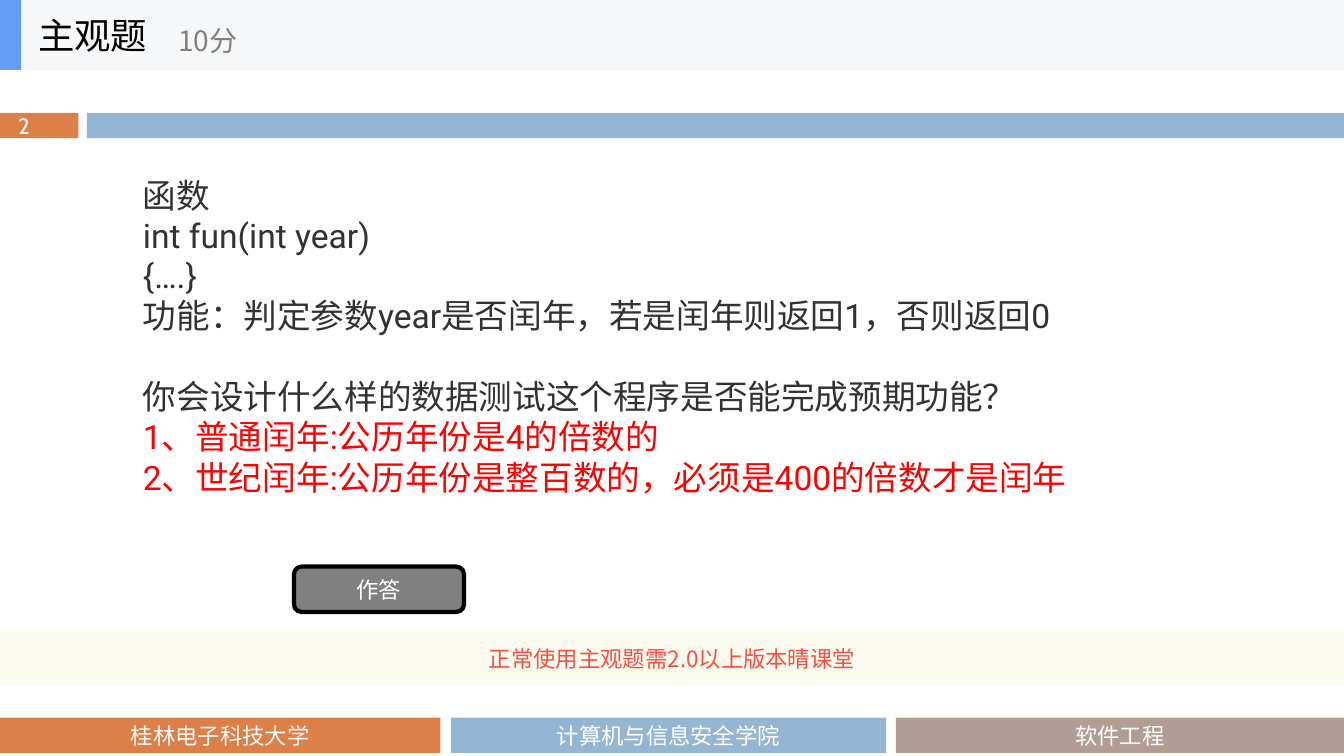
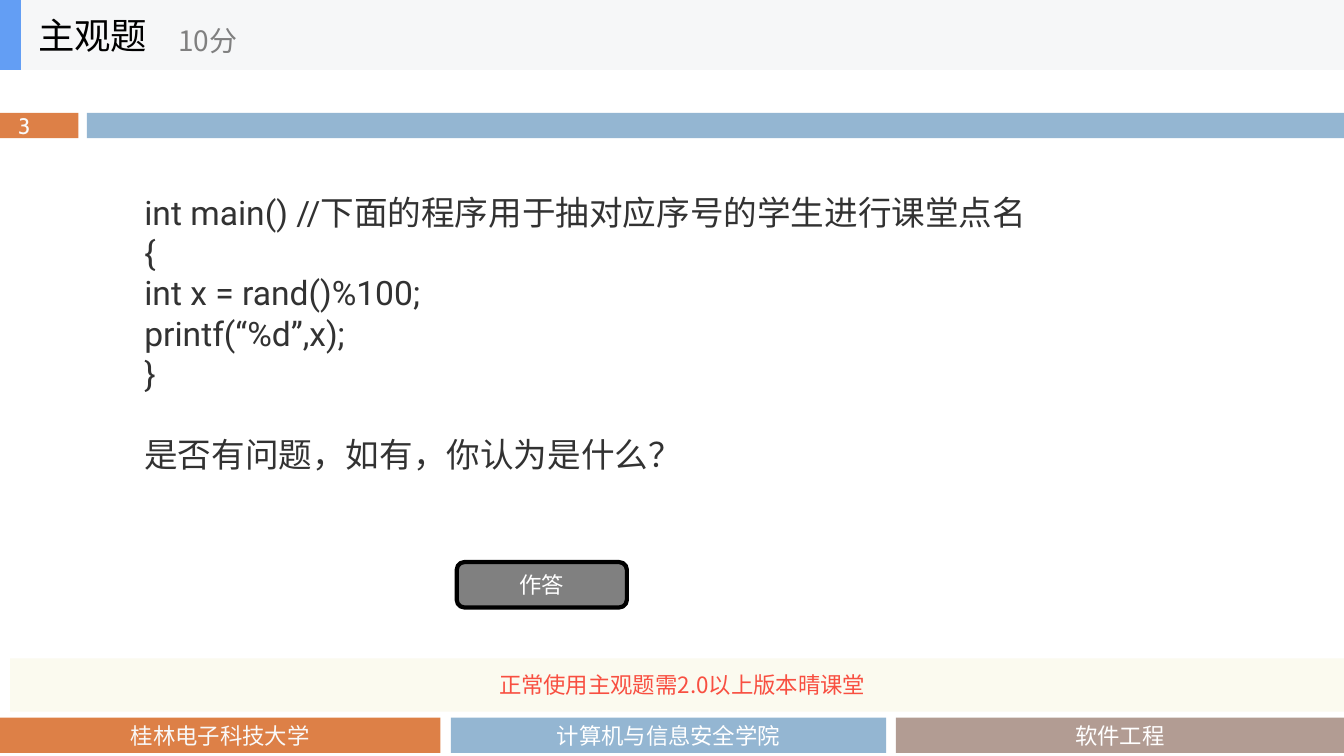
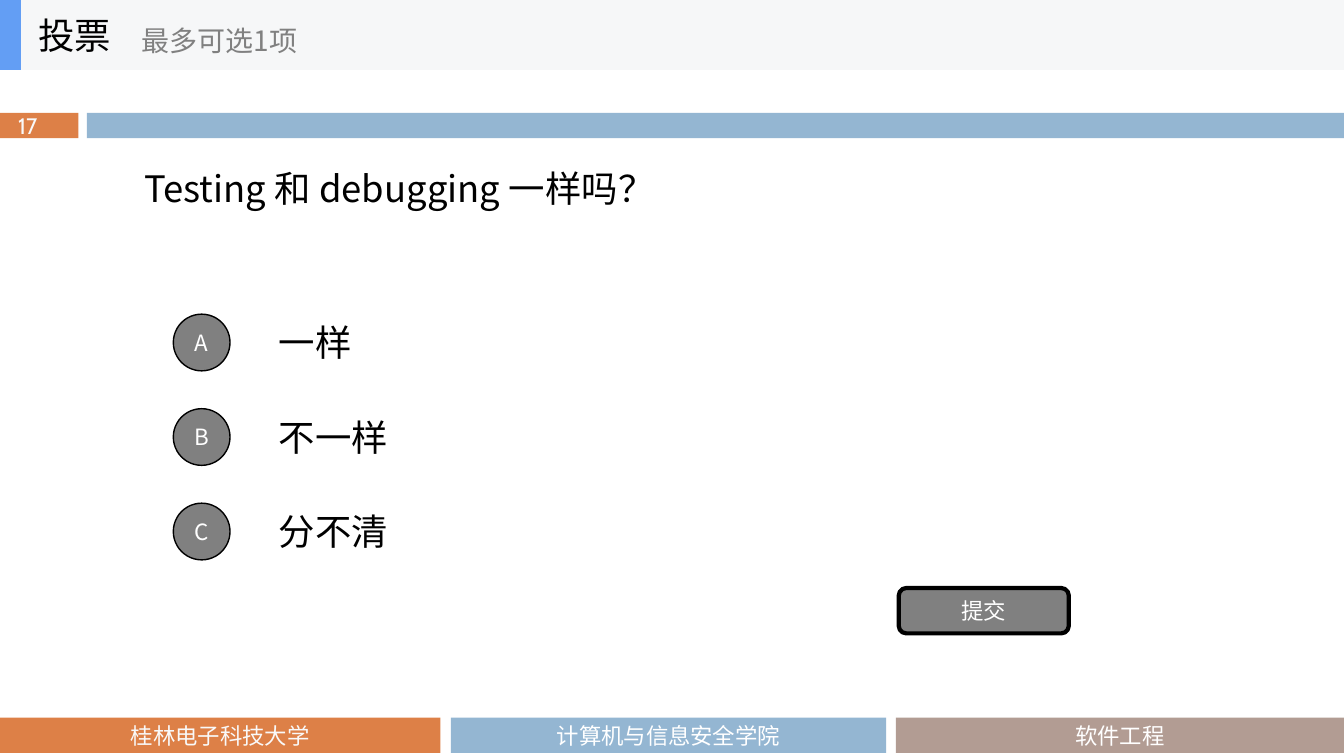
from dataclasses import dataclass

from lxml import etree
from pptx import Presentation
from pptx.dml.color import RGBColor
from pptx.enum import shapes, text
from pptx.oxml import ns
from pptx.util import Pt


@dataclass(frozen=True)
class Theme:
    orange: str = "DD8047"
    blue: str = "94B6D2"
    mauve: str = "B29C93"
    pale: str = "F6F7F8"
    accent: str = "639EF4"
    cream: str = "FBFAEF"
    coral: str = "F84F41"
    grey: str = "808080"
    ink: str = "323232"
    red: str = "FF0000"
    black: str = "000000"
    white: str = "FFFFFF"
    frost: str = "F9F9F9"
    sans: str = "Noto Sans CJK SC"
    code: str = "Roboto"
    band: str = "Cabin"
    head: int = 26
    body: int = 24
    sub: int = 20
    small: int = 16
    pitch: float = 28.8


LEFT, MID, JUST = text.PP_ALIGN.LEFT, text.PP_ALIGN.CENTER, text.PP_ALIGN.JUSTIFY
RECT, ROUND, OVAL = (shapes.MSO_SHAPE.RECTANGLE, shapes.MSO_SHAPE.ROUNDED_RECTANGLE,
                     shapes.MSO_SHAPE.OVAL)


class Deck:
    """Draws quiz slides in one shared style."""

    def __init__(self, theme):
        self.t = theme
        self.prs = Presentation()
        self.prs.slide_width, self.prs.slide_height = Pt(960), Pt(540)

    def style(self, para, size, color, font, align=LEFT):
        para.alignment = align
        face = para.font
        face.size, face.name = Pt(size), font
        face.color.rgb = RGBColor.from_string(color)
        latin = para._p.pPr.find(ns.qn("a:defRPr")).find(ns.qn("a:latin"))
        east = etree.Element(ns.qn("a:ea"), typeface=self.t.sans)
        latin.addnext(east)

    def frame(self, shape, side=7.2):
        box = shape.text_frame
        box.word_wrap = True
        box.auto_size = text.MSO_AUTO_SIZE.NONE
        box.vertical_anchor = text.MSO_ANCHOR.MIDDLE
        box.margin_left = box.margin_right = Pt(side)
        box.margin_top = box.margin_bottom = 0
        return box

    def block(self, at, fill, kind=RECT, line=0):
        shape = self.slide.shapes.add_shape(kind, *map(Pt, at))
        shape.shadow.inherit = False
        shape.fill.solid()
        shape.fill.fore_color.rgb = RGBColor.from_string(fill)
        if line:
            shape.line.color.rgb = RGBColor.from_string(self.t.black)
            shape.line.width = Pt(line)
        else:
            shape.line.fill.background()
        return shape

    def label(self, shape, words, color, font=None, align=MID, side=0):
        para = self.frame(shape, side).paragraphs[0]
        para.text = words
        self.style(para, self.t.small, color, font or self.t.sans, align)

    def words(self, at, line, size, color):
        box = self.frame(self.slide.shapes.add_textbox(*map(Pt, at)))
        box.text = line
        self.style(box.paragraphs[0], size, color, self.t.sans)

    def page(self, num, title, hint, left):
        t = self.t
        self.slide = self.prs.slides.add_slide(self.prs.slide_layouts[5])
        tab = self.block((0, 80.7, 56, 18), t.orange)
        self.label(tab, str(num), t.frost, t.band, LEFT, 13)
        self.block((62, 80.7, 898, 18), t.blue)
        for x, wide, fill, color, name in (
                (0, 314.5, t.orange, t.frost, "桂林电子科技大学"),
                (322, 311, t.blue, t.white, "计算机与信息安全学院"),
                (640, 320, t.mauve, t.white, "软件工程")):
            foot = self.block((x, 512.5, wide, 25.3), fill)
            self.label(foot, name, color, t.band)
        self.block((0, 0, 960, 50), t.pale)
        self.block((0, 0, 15, 50), t.accent)
        head = self.slide.shapes.title
        head.left, head.top, head.width, head.height = map(Pt, (20, 0, 150, 50))
        box = self.frame(head)
        box.text = title
        self.style(box.paragraphs[0], t.head, t.black, t.sans)
        self.slide.shapes._spTree.append(head._element)
        self.words((left, 9, 180, 40), hint, t.sub, t.grey)

    def prose(self, at, parts):
        t = self.t
        box = self.frame(self.slide.shapes.add_textbox(*map(Pt, at)))
        first = True
        for part, (color, lines) in enumerate(parts):
            for row, line in enumerate(lines):
                para = box.paragraphs[0] if first else box.add_paragraph()
                para.text = line
                para.line_spacing = Pt(t.pitch)
                if part == 1 and row == 0:
                    para.space_before = Pt(t.pitch)
                self.style(para, t.body, color, t.code, JUST)
                first = False

    def button(self, x, y, name):
        self.label(self.block((x, y, 121.5, 32.4), self.t.grey, ROUND, 3), name, self.t.white)

    def notice(self, x, y):
        bar = self.block((x, y, 960, 38.2), self.t.cream)
        self.label(bar, "正常使用主观题需2.0以上版本晴课堂", self.t.coral)

    def option(self, y, mark, line):
        self.words((192, y, 672, 50.4), line, self.t.head, self.t.black)
        disc = self.block((123.8, y + 5, 40.5, 40.5), self.t.grey, OVAL, 1)
        self.label(disc, mark, self.t.white)


def main():
    t = Theme()
    deck = Deck(t)

    deck.page(2, "主观题", "10分", 120.2)
    deck.prose((95, 103, 768, 273.6), (
        (t.ink, ("函数", "int fun(int year)", "{….}",
                 "功能：判定参数year是否闰年，若是闰年则返回1，否则返回0")),
        (t.ink, ("你会设计什么样的数据测试这个程序是否能完成预期功能？",)),
        (t.red, ("1、普通闰年:公历年份是4的倍数的",
                 "2、世纪闰年:公历年份是整百数的，必须是400的倍数才是闰年"))))
    deck.button(210, 404.7, "作答")
    deck.notice(0, 451)

    deck.page(3, "主观题", "10分", 120.2)
    deck.prose((96, 134, 768, 207.4), (
        (t.ink, ("int main() //下面的程序用于抽对应序号的学生进行课堂点名", "{",
                 "int x = rand()%100;", "printf(“%d”,x);", "}")),
        (t.ink, ("是否有问题，如有，你认为是什么？",))))
    deck.button(326.3, 401.5, "作答")
    deck.notice(7.2, 470.2)

    deck.page(17, "投票", "最多可选1项", 94.2)
    deck.words((96, 50, 768, 168), "Testing 和 debugging 一样吗？", t.head, t.black)
    for row, (mark, line) in enumerate(zip("ABC", ("一样", "不一样", "分不清"))):
        deck.option(219.4 + row * 67.5, mark, line)
    deck.button(642, 420, "提交")

    deck.prs.save("out.pptx")


if __name__ == "__main__":
    main()
